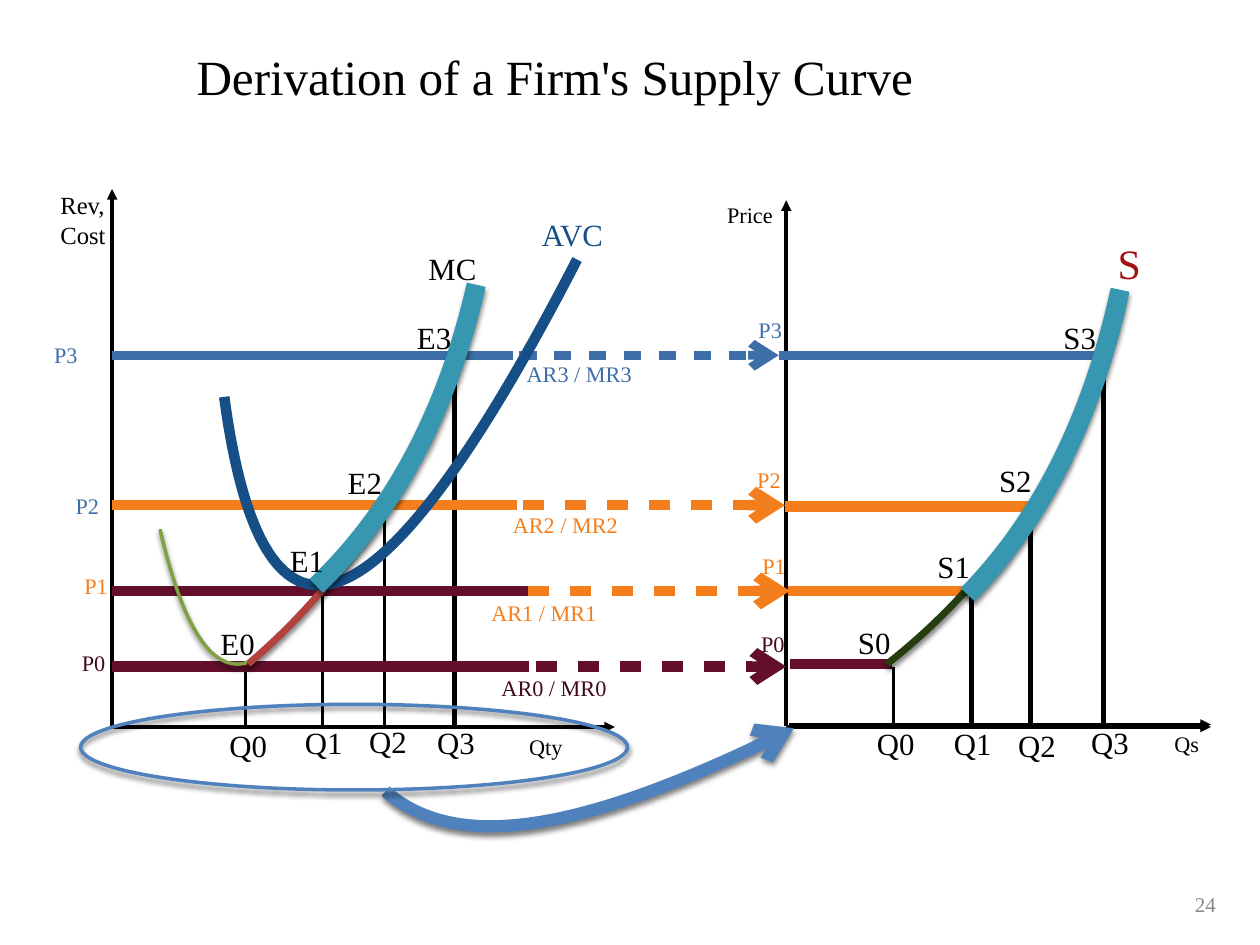
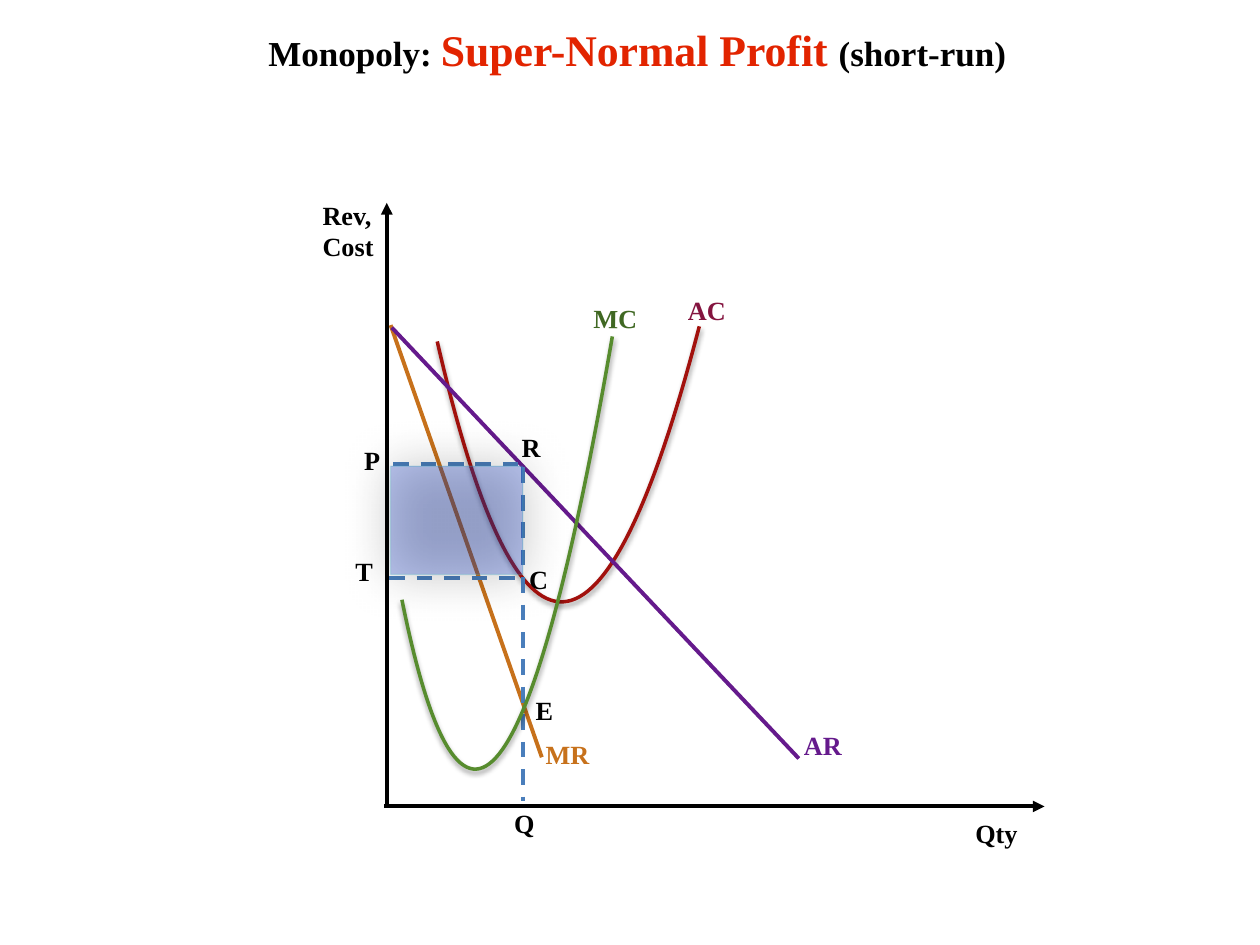
from lxml import etree
from pptx import Presentation
from pptx import util as u
from pptx.dml.color import RGBColor
from pptx.enum import dml, shapes, text
from pptx.oxml import ns

FONT = "Times New Roman"
C = dict(black="000000", navy="164F86", blue="3E6EA7", orange="F57E1C", wine="630F2C",
         dark_wine="42081F", red="A2110D", brick="B3423F", olive="81A041", forest="263E0F",
         teal="3897B0", sky="4F81BD", gray="888888", dash="4A7EBB", amber="C7711B",
         purple="651A8C", plum="84143F", green="578C2E", dark_green="406823",
         scarlet="E22400", royal="1F43C9", aqua="46AAC4")
SOFT = dict(alpha=50, blur=3, dist=2)
FAINT = dict(alpha=38, blur=3, dist=1.6)
GLOW = dict(alpha=75, blur=28, dist=0)

# ---- Supply curve: axes and prices --------------------------------------
SUPPLY_TITLE = "Derivation of a Firm's Supply Curve"
BASE = 5.77
SUPPLY_AXES = [((0.89, 5.78), (0.89, 1.5)), ((0.9, BASE), (4.88, BASE)),
               ((6.24, 5.76), (6.24, 1.59)), ((6.24, BASE), (9.61, BASE)),
               ((6.26, 5.75), (9.61, 5.75))]
# y, cost line end, dash start, dash end, colours of the three parts, supply line (x1, x2, y)
PRICES = [
    (5.29, 4.2, 4.25, 6.24, ("wine", "wine", "wine"), (6.27, 7.08, 5.27), 6),
    (4.69, 4.19, 4.19, 6.27, ("wine", "orange", "orange"), (6.25, 7.72, 4.69), 6),
    (4.01, 4.1, 4.15, 6.23, ("orange", "orange", "orange"), (6.23, 8.17, 4.02), 6),
    (2.82, 4.07, 4.12, 6.18, ("blue", "blue", "blue"), (6.18, 8.74, 2.82), 5),
]
# x, top, width in points
DROPS = [(1.95, 5.28, 2), (2.56, 4.66, 2), (3.05, 4.05, 2), (3.61, 2.85, 3),
         (7.09, 5.29, 2), (7.71, 4.66, 3), (8.18, 4.03, 3), (8.76, 2.82, 3)]

# start, two control points, end, colour, width, shadow
THIN_CURVES = [
    ((3.74, 2.34), (3.41, 3.58), (2.82, 4.55), (1.97, 5.27), "brick", 4, SOFT),
    ((1.27, 4.2), (1.45, 4.98), (1.68, 5.34), (1.96, 5.26), "olive", 2, SOFT),
    ((8.87, 2.44), (8.53, 3.64), (7.92, 4.58), (7.04, 5.27), "forest", 4, SOFT),
]
THICK_CURVES = [
    ((1.78, 3.15), (2.09, 5.46), (3.02, 5.09), (4.58, 2.06), "navy", 6, None),
    ((3.78, 2.26), (3.55, 3.27), (3.12, 4.07), (2.51, 4.65), "teal", 11, SOFT),
    ((8.89, 2.3), (8.67, 3.32), (8.26, 4.13), (7.68, 4.72), "teal", 11, SOFT),
]
QTY_ARROW = ((3.06, 6.28), (3.61, 6.76), (4.68, 6.59), (6.3, 5.78), "sky", 7, SOFT)
QTY_RING = (0.64, 5.59, 4.34, 0.68)

# (size, line spacing): (text, x, y, colour)
SUPPLY_LABELS = {
    (12.7, 1): [
        ("P0", 0.65, 5.15, "dark_wine"), ("P1", 0.67, 4.54, "orange"),
        ("P2", 0.6, 3.91, "blue"), ("P3", 0.43, 2.71, "blue"),
        ("P0", 6.04, 5, "dark_wine"), ("P1", 6.05, 4.38, "orange"),
        ("P2", 6.01, 3.7, "orange"), ("P3", 6.02, 2.51, "blue"),
        ("AR0 / MR0", 3.98, 5.35, "dark_wine"), ("AR1 / MR1", 3.9, 4.76, "orange"),
        ("AR2 / MR2", 4.07, 4.06, "orange"), ("AR3 / MR3", 4.18, 2.86, "blue"),
        ("Qty", 4.2, 5.82, "black"), ("Qs", 9.32, 5.8, "black"), ("Price", 5.77, 1.6, "black")],
    (14.1, 1): [("Rev, Cost", 0.48, 1.51, "black")],
    (17.6, 1): [
        ("MC", 3.4, 1.98, "black"), ("AVC", 4.3, 1.71, "navy"),
        ("E0", 1.75, 4.96, "black"), ("E1", 2.3, 4.3, "black"), ("E2", 2.76, 3.68, "black"),
        ("S0", 6.81, 4.95, "black"), ("Q0", 6.96, 5.75, "black"), ("Q1", 7.57, 5.75, "black"),
        ("Q2", 8.08, 5.77, "black"), ("Q3", 8.66, 5.74, "black")],
    (17.6, 0.9): [
        ("E3", 3.31, 2.56, "black"), ("S1", 7.44, 4.38, "black"), ("S2", 7.93, 3.7, "black"),
        ("S3", 8.44, 2.56, "black"), ("Q0", 1.82, 5.8, "black"), ("Q1", 2.42, 5.78, "black"),
        ("Q2", 2.93, 5.77, "black"), ("Q3", 3.47, 5.78, "black")],
    (23.9, 0.9): [("S", 8.87, 1.93, "red")],
}

# ---- Monopoly -------------------------------------------------------------
MONOPOLY_TITLE = [("Monopoly: ", 20, "black"), ("Super-Normal Profit ", 25, "scarlet"),
                  ("(short-run)", 20, "black")]
MONOPOLY_AXES = [((3.07, 6.41), (3.07, 1.61)), ((3.05, 6.4), (8.29, 6.4))]
REVENUES = [((3.1, 2.58), (4.3, 6.01), "amber"), ((3.11, 2.6), (6.34, 6.02), "purple")]
GUIDES = [((4.15, 3.71), (4.15, 6.36)), ((3.12, 3.68), (4.18, 3.68)), ((3.09, 4.59), (4.15, 4.59))]
AC_CURVE = ((5.55, 2.59), (4.8, 5.47), (4.11, 5.5), (3.47, 2.71), "red", 2, FAINT)
MC_CURVE = ((4.86, 2.67), (4.22, 6.39), (3.66, 7.09), (3.19, 4.76), "green", 2, FAINT)
PROFIT = (3.1, 3.7, 1.05, 0.86)
MONOPOLY_LABELS = [
    ("Qty", 7.69, 6.44, "black"), ("Rev, Cost", 2.51, 1.53, "black"), ("E", 4.2, 5.46, "black"),
    ("MR", 4.28, 5.81, "amber"), ("AC", 5.41, 2.29, "plum"), ("AR", 6.33, 5.74, "purple"),
    ("Q", 4.03, 6.36, "black"), ("C", 4.15, 4.42, "black"), ("R", 4.09, 3.37, "black"),
    ("P", 2.84, 3.48, "black"), ("T", 2.77, 4.36, "black"), ("MC", 4.66, 2.35, "dark_green")]


def rgb(name):
    return RGBColor.from_string(C[name])


def inches(values):
    return [u.Inches(v) for v in values]


def sub(parent, tag, **attrs):
    return etree.SubElement(parent, ns.qn(tag), {k: str(v) for k, v in attrs.items()})


def set_effect(sp, shadow=None):
    """Give the shape the shadow described, or none at all."""
    effects = sub(sp._element.spPr, "a:effectLst")
    if shadow:
        outer = sub(effects, "a:outerShdw", blurRad=u.Pt(shadow["blur"]),
                    dist=u.Pt(shadow["dist"]), dir=90 * 60000, rotWithShape=0)
        sub(sub(outer, "a:srgbClr", val=C["black"]), "a:alpha", val=shadow["alpha"] * 1000)


def stroke(sp, color, width, head=None, dash=None, shadow=None):
    """Outline; dash is None, "dash" or "square" (gaps as long as dashes)."""
    sp.line.color.rgb = rgb(color)
    sp.line.width = u.Pt(width)
    ln = sp.line._get_or_add_ln()
    if dash == "square":
        sub(sub(ln, "a:custDash"), "a:ds", d=200000, sp=200000)
    elif dash:
        sp.line.dash_style = dml.MSO_LINE.DASH
    if head:
        sub(ln, "a:tailEnd", type=head)
    set_effect(sp, shadow)


def line(slide, start, end, color, width, **style):
    cx = slide.shapes.add_connector(shapes.MSO_CONNECTOR.STRAIGHT, *inches(start + end))
    stroke(cx, color, width, **style)


def curve(slide, p0, p1, p2, p3, color, width, shadow, head=None):
    """One cubic segment; sampled points give the frame its true size."""
    def at(t):
        weights = ((1 - t) ** 3, 3 * t * (1 - t) ** 2, 3 * t * t * (1 - t), t ** 3)
        return [sum(w * p[i] for w, p in zip(weights, (p0, p1, p2, p3))) for i in (0, 1)]

    points = [inches(at(n / 40)) for n in range(41)]
    builder = slide.shapes.build_freeform(*points[0])
    builder.add_line_segments(points[1:], close=False)
    sp = builder.convert_to_shape()
    outline = next(sp._element.iter(ns.qn("a:path")))
    for segment in outline.findall(ns.qn("a:lnTo")):
        outline.remove(segment)
    bezier = sub(outline, "a:cubicBezTo")
    for x, y in map(inches, (p1, p2, p3)):
        sub(bezier, "a:pt", x=x - sp.left, y=y - sp.top)
    sp.fill.background()
    stroke(sp, color, width, head=head, shadow=shadow)


def write(sp, runs, inset=0, bold=False, spacing=1):
    tf = sp.text_frame
    tf.word_wrap = True
    tf.auto_size = text.MSO_AUTO_SIZE.NONE
    tf.vertical_anchor = text.MSO_ANCHOR.TOP
    tf.margin_left = tf.margin_right = tf.margin_top = tf.margin_bottom = u.Inches(inset)
    p = tf.paragraphs[0]
    p.alignment = text.PP_ALIGN.LEFT
    p.line_spacing = spacing
    for words, size, color in runs:
        r = p.add_run()
        r.text = words
        r.font.name, r.font.size, r.font.bold = FONT, u.Pt(size), bold
        r.font.color.rgb = rgb(color)
    return p


def label(slide, words, x, y, color, size, inset=0, **style):
    width = 0.69 if " C" in words else 0.2 + len(words) * 0.15
    height = 0.3 + 2 * inset
    box = slide.shapes.add_textbox(*inches((x, y, width + 2 * inset, height)))
    write(box, [(words, size, color)], inset, **style)
    return box


def titled_slide(prs, box, runs, **style):
    slide = prs.slides.add_slide(prs.slide_layouts[5])
    title = slide.shapes.title
    title.left, title.top, title.width, title.height = inches(box)
    write(title, runs, **style)
    return slide


def supply_slide(prs):
    slide = titled_slide(prs, (1.56, 0.37, 7.8, 0.47), [(SUPPLY_TITLE, 28.1, "black")])
    for start, end in SUPPLY_AXES:
        line(slide, start, end, "black", 2, head="triangle")
    for x, top, width in DROPS:
        line(slide, (x, BASE), (x, top), "black", width)
    for y, cost_end, dash_start, dash_end, colors, (x1, x2, supply_y), width in PRICES:
        line(slide, (0.89, y), (cost_end, y), colors[0], width)
        line(slide, (dash_start, y), (dash_end, y), colors[1], width, head="arrow", dash="square")
        line(slide, (x1, supply_y), (x2, supply_y), colors[2], width)
    for item in THIN_CURVES + THICK_CURVES:
        curve(slide, *item)
    for (size, spacing), labels in SUPPLY_LABELS.items():
        for item in labels:
            label(slide, *item, size, spacing=spacing)
    curve(slide, *QTY_ARROW, head="arrow")
    ring = slide.shapes.add_shape(shapes.MSO_SHAPE.OVAL, *inches(QTY_RING))
    ring.fill.background()
    stroke(ring, "sky", 2, shadow=SOFT)
    number = slide.shapes.add_textbox(*inches((9.3, 7.03, 0.4, 0.3)))
    p = write(number, [("24", 12, "gray")], 0.05)
    p.alignment = text.PP_ALIGN.RIGHT


def monopoly_slide(prs):
    slide = titled_slide(prs, (2.08, 0.13, 6.37, 0.52), MONOPOLY_TITLE, inset=0.05, bold=True)
    for start, end in MONOPOLY_AXES:
        line(slide, start, end, "black", 2.25, head="triangle")
    line(slide, *REVENUES[0], 2.25)
    curve(slide, *AC_CURVE)
    line(slide, *REVENUES[1], 2.25)
    for start, end in GUIDES:
        line(slide, start, end, "dash", 2.25, dash="dash")
    profit = slide.shapes.add_shape(shapes.MSO_SHAPE.RECTANGLE, *inches(PROFIT))
    profit.fill.solid()
    profit.fill.fore_color.rgb = rgb("royal")
    stroke(profit, "aqua", 0.75, shadow=GLOW)
    spPr = profit._element.spPr
    for fill in (spPr.find(ns.qn("a:solidFill")), spPr.find(ns.qn("a:ln"))[0]):
        sub(fill[0], "a:alpha", val=30000)
    curve(slide, *MC_CURVE)
    for item in MONOPOLY_LABELS:
        box = label(slide, *item, 15, inset=0.05, bold=True)
    box.rotation = 0.6


def main():
    prs = Presentation()
    prs.slide_width, prs.slide_height = inches((10, 7.5))
    supply_slide(prs)
    monopoly_slide(prs)
    prs.save("out.pptx")


if __name__ == "__main__":
    main()
